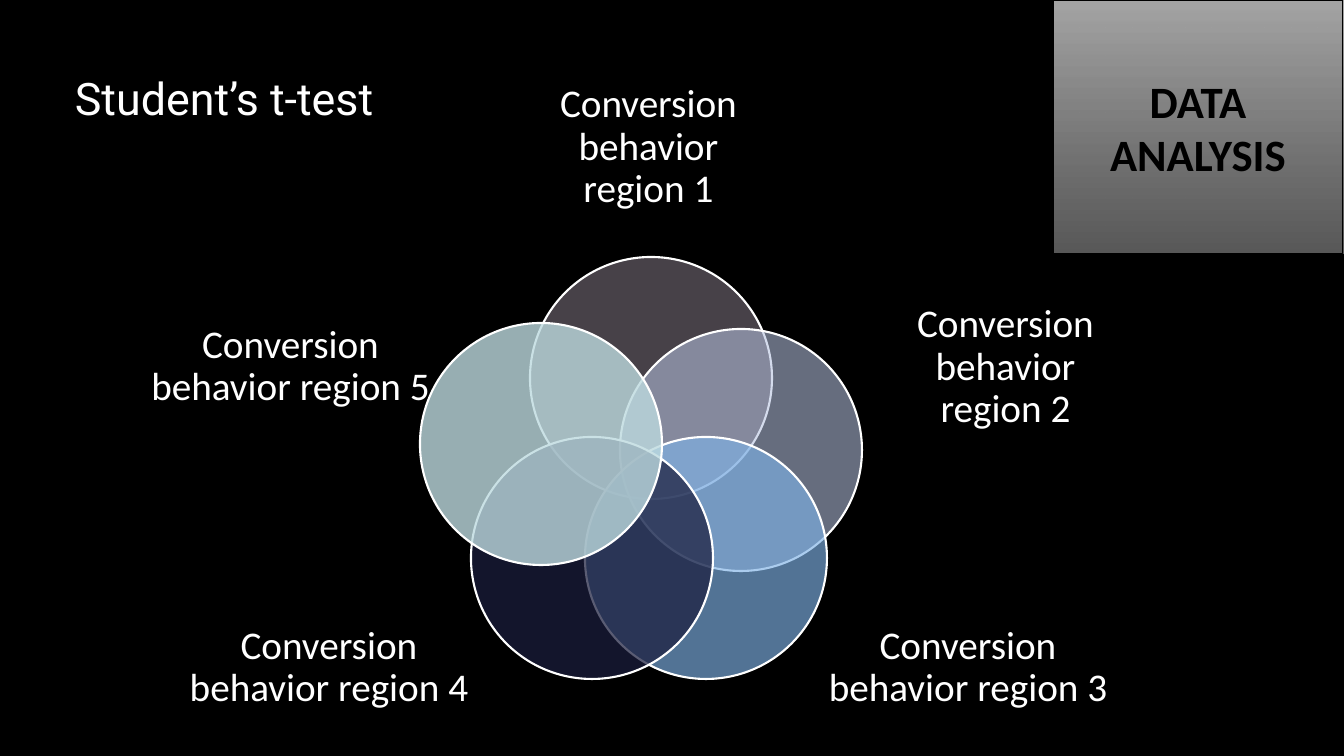
from pptx import Presentation, util as u
from pptx.dml.color import RGBColor
from pptx.enum import shapes, text
from pptx.oxml.ns import qn

PX = 9071  # EMU in one px, 1344 px across the slide
rgb = RGBColor.from_string


def write(shape, words, size, font="Calibri", color="FFFFFF", bold=False,
          align=text.PP_ALIGN.CENTER, anchor=text.MSO_ANCHOR.MIDDLE,
          spacing=1.0, inset=None):
    tf = shape.text_frame
    tf.word_wrap = True
    tf.auto_size = text.MSO_AUTO_SIZE.NONE
    tf.vertical_anchor = anchor
    if inset is not None:
        tf.margin_left = tf.margin_right = inset
        tf.margin_top = tf.margin_bottom = inset
    p = tf.paragraphs[0]
    p.alignment, p.line_spacing = align, spacing
    r = p.add_run()
    r.text = words
    r.font.name, r.font.size, r.font.bold = font, u.Pt(size), bold
    r.font.color.rgb = rgb(color)


def fade(shape, index, percent):
    """Set the opacity of one colour of a shape's fill."""
    color = shape.element.spPr.findall(".//" + qn("a:srgbClr"))[index]
    color.makeelement(qn("a:alpha"), {})
    alpha = color.makeelement(qn("a:alpha"), {"val": str(percent * 1000)})
    color.append(alpha)


prs = Presentation()
prs.slide_width, prs.slide_height = 1344 * PX, 756 * PX
s = prs.slides.add_slide(prs.slide_layouts[5])
s.background.fill.solid()
s.background.fill.fore_color.rgb = rgb("000000")

# Overlapping circles and their labels
DIAMETER = 242
regions = [  # circle left, top, colour, opacity, label box
    (530, 257, "8E8391", 50, (549, 90, 199, 115)),
    (620, 329, "B5C1DF", 57, (917, 305, 177, 125)),
    (585, 437, "7EB2E6", 65, (828, 580, 280, 176)),
    (471, 437, "1B1E3E", 72, (187, 580, 284, 176)),
    (420, 323, "BDDADF", 80, (148, 279, 285, 176)),
]
for number, (left, top, color, opacity, box) in enumerate(regions, 1):
    circle = s.shapes.add_shape(shapes.MSO_SHAPE.OVAL, left * PX, top * PX,
                                DIAMETER * PX, DIAMETER * PX)
    circle.shadow.inherit = False
    circle.fill.solid()
    circle.fill.fore_color.rgb = rgb(color)
    fade(circle, 0, opacity)
    circle.line.color.rgb = rgb("FFFFFF")
    circle.line.width = u.Pt(1.5)
    label = s.shapes.add_textbox(*(v * PX for v in box))
    write(label, f"Conversion behavior region {number}", 28,
          spacing=0.9, inset=0)

# Name of the test
test_name = s.shapes.add_textbox(65 * PX, 66 * PX, 337 * PX, 65 * PX)
write(test_name, "Student’s t-test", 32, font="Roboto",
      align=text.PP_ALIGN.LEFT, anchor=text.MSO_ANCHOR.TOP)

# Title on a grey gradient in the corner
title = s.shapes.title
title.left, title.top = 1053 * PX, 0
title.width, title.height = 290 * PX, 254 * PX
title.fill.gradient()
title.fill.gradient_angle = 270
for stop, color in zip(title.fill.gradient_stops, ("A6A6A6", "797979")):
    stop.color.rgb = rgb(color)
fade(title, 1, 74)
title.line.color.rgb = rgb("000000")
title.line.width = u.Pt(0.75)
write(title, "DATA ANALYSIS", 32, color="000000", bold=True)

prs.save("out.pptx")
